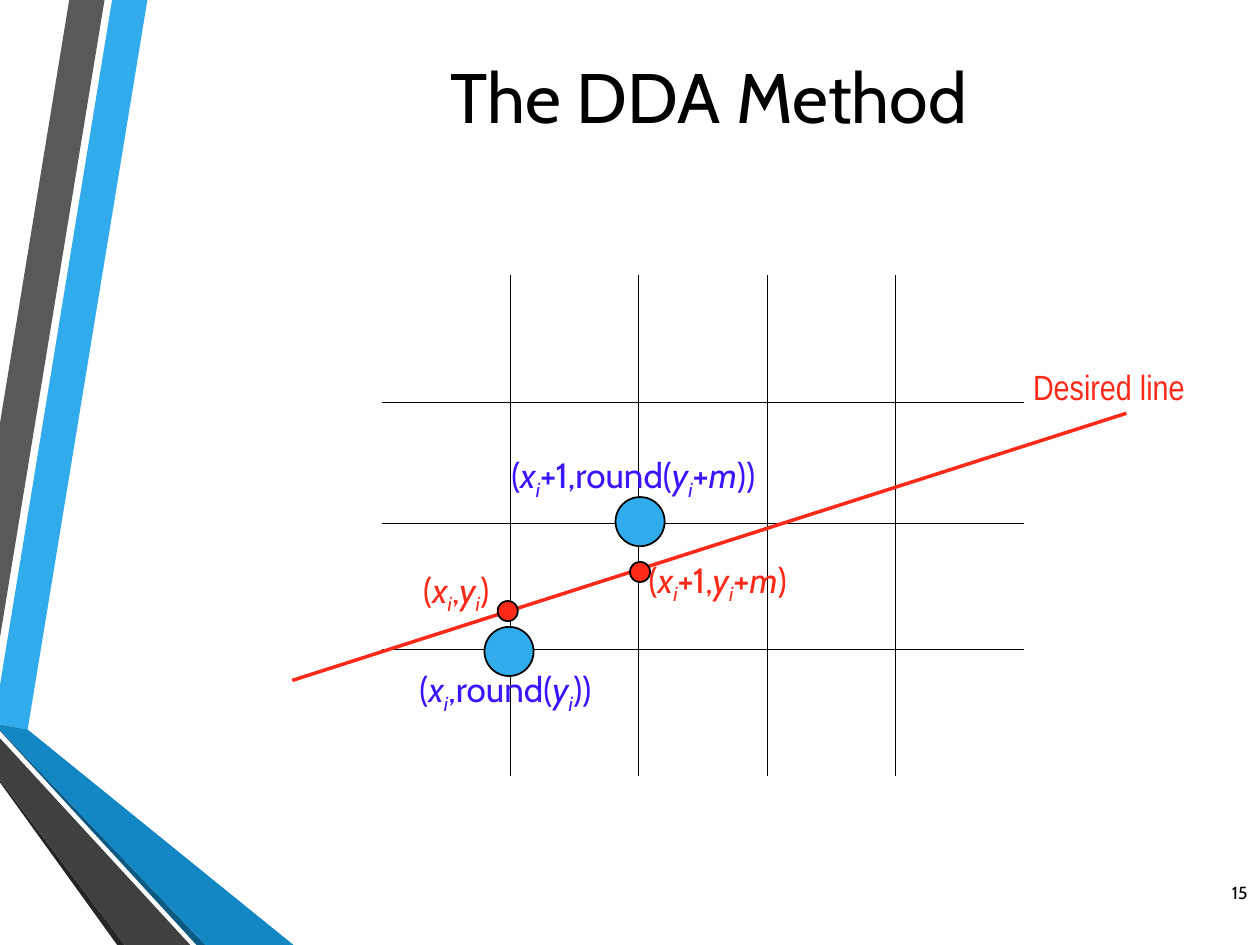
import itertools
from dataclasses import dataclass

import lxml.etree
import pptx
import pptx.dml.color
import pptx.enum.shapes
import pptx.enum.text
import pptx.oxml.ns
import pptx.util

Inches = pptx.util.Inches
Pt = pptx.util.Pt
Align = pptx.enum.text.PP_ALIGN
qn = pptx.oxml.ns.qn


@dataclass(frozen=True)
class Theme:
    font: str = "Cabin"
    label_font: str = "Arial Narrow"
    black: str = "000000"
    red: str = "FD2919"
    purple: str = "3817FF"
    blue: str = "30ACEC"
    title_size: float = 40
    label_size: float = 20
    number_size: float = 10
    grid_width: float = 0.45
    outline_width: float = 1
    line_width: float = 2


theme = Theme()

TITLE = "The DDA Method"
PAGE_NUMBER = "15"
RIBBONS = [
    (theme.blue, [(0, 5.44), (0, 5.75), (0.22, 5.79), (1.17, 0), (0.89, 0)]),
    ("595959", [(0.83, 0), (0.55, 0), (0, 3.36), (0, 5.06)]),
    ("262626", [(0, 6.19), (0, 6.21), (0.93, 7.5), (0.99, 7.5)]),
    ("0C5A82", [(0, 5.79), (0, 5.8), (1.56, 7.5), (1.63, 7.5)]),
    ("1287C3", [(0, 5.79), (1.63, 7.5), (2.33, 7.5), (0.22, 5.79), (0, 5.75)]),
    ("404040", [(0, 6.19), (0.99, 7.5), (1.51, 7.5), (0, 5.86)]),
]
GRID_AT = (3.03, 2.18)
COLUMN_WIDTHS = [1.02] * 5
ROW_HEIGHTS = [1.01, 0.96, 1, 1.01]
DESIRED_LINE = [(2.32, 5.4), (8.94, 3.28)]
DOTS = [
    (4.04, 5.17, 0.39, theme.blue),
    (4.03, 4.85, 0.16, theme.red),
    (5.08, 4.14, 0.39, theme.blue),
    (5.08, 4.54, 0.16, theme.red),
]
FORMULAS = [
    ("(xi,round(yi))", theme.purple, (3.23, 5.25, 1.75, 0.48)),
    ("(xi,yi)", theme.red, (3.26, 4.46, 0.79, 0.48)),
    ("(xi+1,round(yi+m))", theme.purple, (3.96, 3.55, 2.47, 0.48)),
    ("(xi+1,yi+m)", theme.red, (5.05, 4.38, 1.51, 0.48)),
]


def color(value):
    return pptx.dml.color.RGBColor.from_string(value)


def inches(values):
    return [Inches(value) for value in values]


def style(span, size, ink, font=theme.font):
    span.font.size = Pt(size)
    span.font.name = font
    span.font.color.rgb = color(ink)


def add_text(page, place, text, size, ink, font=theme.font, align=Align.LEFT):
    box = page.shapes.add_textbox(*inches(place))
    box.text_frame.word_wrap = False
    box.text_frame.auto_size = pptx.enum.text.MSO_AUTO_SIZE.SHAPE_TO_FIT_TEXT
    para = box.text_frame.paragraphs[0]
    para.alignment = align
    para.text = text
    for span in para.runs:
        style(span, size, ink, font)
    return box


def kind_of(letter):
    return "variable" if letter in "xym" else "index" if letter == "i" else "plain"


def add_formula(page, formula, ink, place):
    para = add_text(page, place, "", theme.label_size, ink).text_frame.paragraphs[0]
    for kind, letters in itertools.groupby(formula, kind_of):
        span = para.add_run()
        span.text = "".join(letters)
        style(span, theme.label_size, ink)
        span.font.italic = kind != "plain"
        if kind == "index":
            span.font._element.set("baseline", "-25000")


def add_ribbon(page, fill, points):
    start, *others = [inches(point) for point in points]
    builder = page.shapes.build_freeform(*start)
    builder.add_line_segments(others, close=True)
    ribbon = builder.convert_to_shape()
    ribbon.shadow.inherit = False
    ribbon.fill.solid()
    ribbon.fill.fore_color.rgb = color(fill)
    ribbon.line.fill.background()


def set_border(cell, side, visible):
    properties = cell._tc.get_or_add_tcPr()
    border = lxml.etree.SubElement(properties, qn("a:ln" + side), w=str(Pt(theme.grid_width)))
    if visible:
        fill = lxml.etree.SubElement(border, qn("a:solidFill"))
        lxml.etree.SubElement(fill, qn("a:srgbClr"), val=theme.black)
    else:
        lxml.etree.SubElement(border, qn("a:noFill"))


def add_grid(page):
    rows, columns = len(ROW_HEIGHTS), len(COLUMN_WIDTHS)
    size = (sum(COLUMN_WIDTHS), sum(ROW_HEIGHTS))
    grid = page.shapes.add_table(rows, columns, *inches(GRID_AT + size)).table
    grid.first_row = grid.horz_banding = False
    for column, width in zip(grid.columns, COLUMN_WIDTHS):
        column.width = Inches(width)
    for row, height in zip(grid.rows, ROW_HEIGHTS):
        row.height = Inches(height)
    for r, c in itertools.product(range(rows), range(columns)):
        cell = grid.cell(r, c)
        inner = {"L": c > 0, "R": c < columns - 1, "T": r > 0, "B": r < rows - 1}
        for side, visible in inner.items():
            set_border(cell, side, visible)
        cell.fill.background()


def add_desired_line(page):
    start, end = DESIRED_LINE
    line = page.shapes.add_connector(
        pptx.enum.shapes.MSO_CONNECTOR.STRAIGHT, *inches(start + end))
    line.line.color.rgb = color(theme.red)
    line.line.width = Pt(theme.line_width)
    lxml.etree.SubElement(line._element.spPr, qn("a:effectLst"))


def add_dot(page, x, y, size, fill):
    place = (x - size / 2, y - size / 2, size, size)
    dot = page.shapes.add_shape(pptx.enum.shapes.MSO_SHAPE.OVAL, *inches(place))
    dot.shadow.inherit = False
    dot.fill.solid()
    dot.fill.fore_color.rgb = color(fill)
    dot.line.color.rgb = color(theme.black)
    dot.line.width = Pt(theme.outline_width)


deck = pptx.Presentation()
deck.slide_width, deck.slide_height = Inches(10), Inches(7.5)
page = deck.slides.add_slide(deck.slide_layouts.get_by_name("Title Only"))

title = page.shapes.title
title.left, title.top, title.width, title.height = inches((1.5, 0.13, 8.25, 1.25))
title.text_frame.text = TITLE
title.text_frame.vertical_anchor = pptx.enum.text.MSO_ANCHOR.MIDDLE
title.text_frame.paragraphs[0].alignment = Align.CENTER
style(title.text_frame.paragraphs[0].runs[0], theme.title_size, theme.black)

for ribbon_fill, outline in RIBBONS:
    add_ribbon(page, ribbon_fill, outline)
add_grid(page)
number = add_text(page, (7.92, 6.83, 2.08, 0.5), PAGE_NUMBER,
                  theme.number_size, theme.black, align=Align.RIGHT)
number.text_frame.auto_size = pptx.enum.text.MSO_AUTO_SIZE.NONE
number.text_frame.word_wrap = True
number.text_frame.vertical_anchor = pptx.enum.text.MSO_ANCHOR.MIDDLE

add_desired_line(page)
add_text(page, (8.1, 2.85, 1.75, 0.44), "Desired line",
         theme.label_size, theme.red, theme.label_font)
for dot in DOTS:
    add_dot(page, *dot)
for formula in FORMULAS:
    add_formula(page, *formula)

deck.save("out.pptx")
